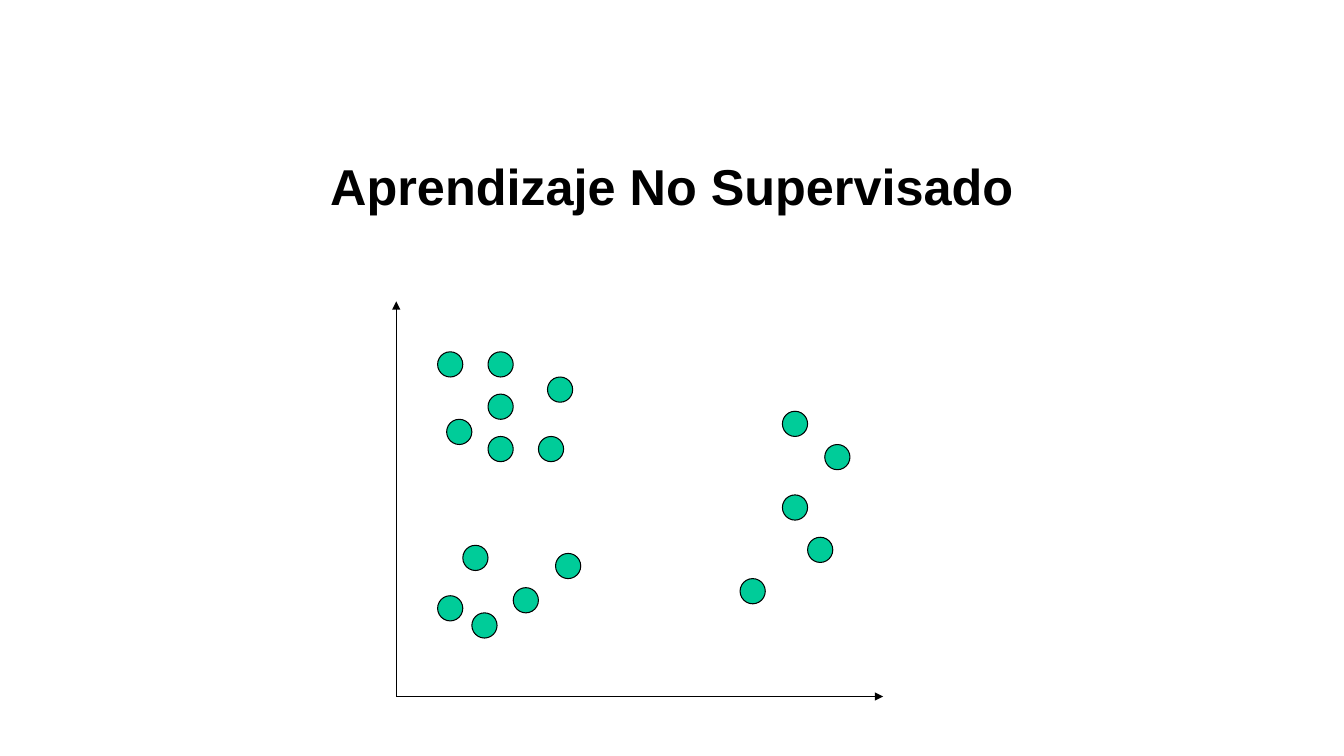
from dataclasses import dataclass

from lxml.etree import SubElement
from pptx import Presentation
from pptx.dml.color import RGBColor
from pptx.enum.shapes import MSO_CONNECTOR, MSO_SHAPE
from pptx.enum.text import MSO_ANCHOR, PP_ALIGN
from pptx.oxml.ns import qn
from pptx.util import Inches, Pt


@dataclass(frozen=True)
class Theme:
    font: str = "Arial"
    title_size: float = 36
    line_width: float = 0.75
    ink: RGBColor = RGBColor(0x00, 0x00, 0x00)
    panel: RGBColor = RGBColor(0xFF, 0xFF, 0xFF)
    panel_opacity: int = 30
    point: RGBColor = RGBColor(0x00, 0xCC, 0x99)


SLIDE_WIDTH, SLIDE_HEIGHT = 13.33, 7.5
ORIGIN = (3.93, 6.91)
AXIS_ENDS = [(3.93, 2.99), (8.76, 6.91)]
POINT_SIZE = 0.25

# Left and top of each point, by cluster
CLUSTERS = {
    "lower left": [(4.34, 5.91), (5.09, 5.83), (4.59, 5.41), (4.68, 6.08), (5.51, 5.49)],
    "right": [(7.34, 5.74), (8.01, 5.33), (7.76, 4.91), (8.18, 4.41), (7.76, 4.08)],
    "upper left": [(4.84, 3.91), (4.34, 3.49), (4.43, 4.16), (5.43, 3.74),
                   (4.84, 4.33), (5.34, 4.33), (4.84, 3.49)],
}


def write_text(shape, text, *, font, size, color, bold=False, line_spacing=1.0):
    frame = shape.text_frame
    frame.word_wrap = True
    frame.vertical_anchor = MSO_ANCHOR.MIDDLE
    paragraph = frame.paragraphs[0]
    paragraph.alignment = PP_ALIGN.CENTER
    paragraph.line_spacing = line_spacing
    run = paragraph.add_run()
    run.text = text
    run.font.name = font
    run.font.size = Pt(size)
    run.font.bold = bold
    run.font.color.rgb = color


class SlideBuilder:
    def __init__(self, slide, theme):
        self.slide = slide
        self.theme = theme
        self.plot = None

    def panel(self, top, height):
        """Add a translucent band across the whole slide."""
        shape = self.slide.shapes.add_shape(
            MSO_SHAPE.RECTANGLE, 0, Inches(top), Inches(SLIDE_WIDTH), Inches(height))
        shape.shadow.inherit = False
        shape.fill.solid()
        shape.fill.fore_color.rgb = self.theme.panel
        color = shape.fill._xPr.find(qn("a:solidFill"))[0]
        SubElement(color, qn("a:alpha"), val=str(self.theme.panel_opacity * 1000))
        shape.line.fill.background()
        return shape

    def title(self, text, top, height):
        write_text(self.panel(top, height), text, font=self.theme.font,
                   size=self.theme.title_size, color=self.theme.ink,
                   bold=True, line_spacing=0.93)

    def start_plot(self):
        """Open the group that holds the axes and points."""
        self.plot = self.slide.shapes.add_group_shape()

    def outline(self, shape):
        shape.line.color.rgb = self.theme.ink
        shape.line.width = Pt(self.theme.line_width)

    def axis(self, start, end):
        connector = self.plot.shapes.add_connector(
            MSO_CONNECTOR.STRAIGHT, *map(Inches, start + end))
        self.outline(connector)
        SubElement(connector.line._get_or_add_ln(), qn("a:tailEnd"), type="triangle")
        SubElement(connector._element.spPr, qn("a:effectLst"))

    def point(self, left, top):
        shape = self.plot.shapes.add_shape(
            MSO_SHAPE.OVAL, Inches(left), Inches(top),
            Inches(POINT_SIZE), Inches(POINT_SIZE))
        shape.shadow.inherit = False
        shape.fill.solid()
        shape.fill.fore_color.rgb = self.theme.point
        self.outline(shape)


def main():
    presentation = Presentation()
    presentation.slide_width = Inches(SLIDE_WIDTH)
    presentation.slide_height = Inches(SLIDE_HEIGHT)
    slide = presentation.slides.add_slide(presentation.slide_layouts[6])

    builder = SlideBuilder(slide, Theme())
    builder.title("Aprendizaje No Supervisado", top=1.21, height=1.33)
    builder.panel(top=2.5, height=5)
    builder.start_plot()
    for end in AXIS_ENDS:
        builder.axis(ORIGIN, end)
    for points in CLUSTERS.values():
        for left, top in points:
            builder.point(left, top)

    presentation.save("out.pptx")


if __name__ == "__main__":
    main()
